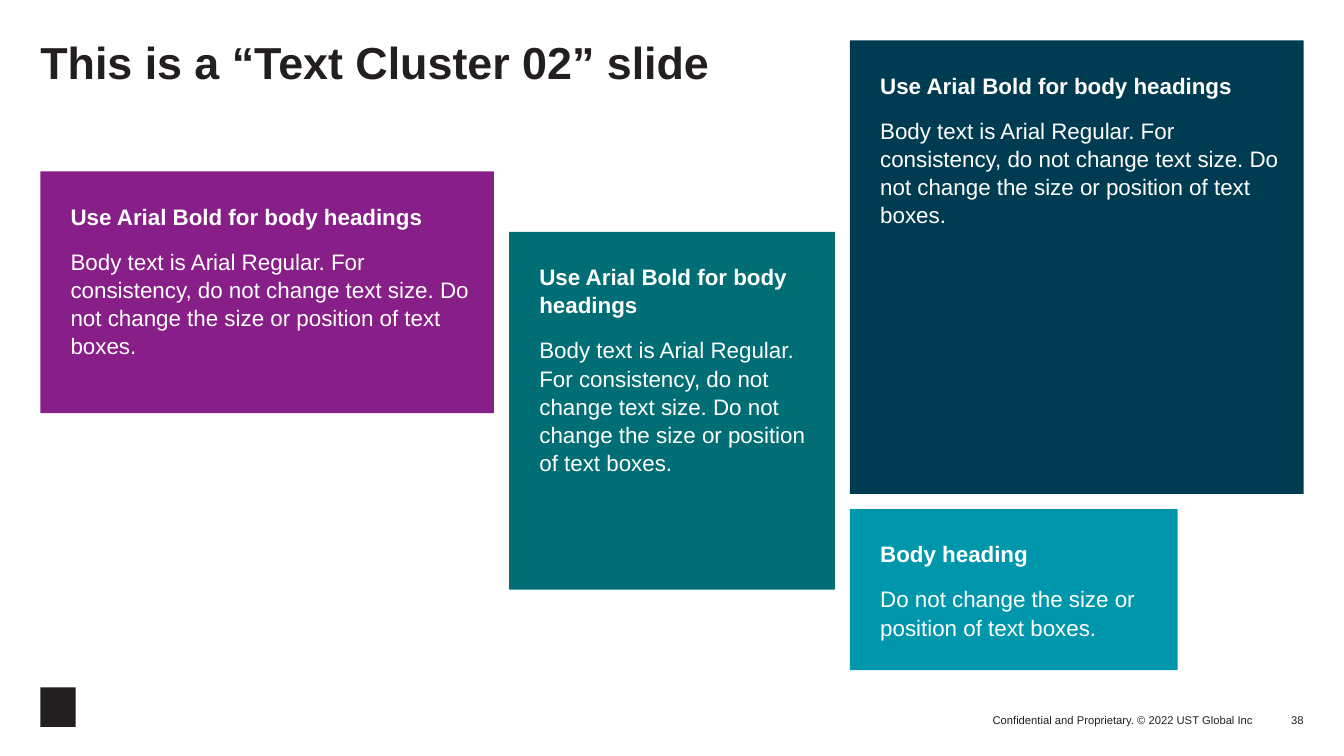
from dataclasses import dataclass

from pptx import Presentation
from pptx.dml.color import RGBColor
from pptx.enum.shapes import MSO_SHAPE
from pptx.enum.text import MSO_ANCHOR, PP_ALIGN
from pptx.util import Pt

PX = 9144


@dataclass(frozen=True)
class Theme:
    font: str = "Arial"
    ink: str = "231F20"
    white: str = "FFFFFF"
    navy: str = "003C51"
    purple: str = "881E87"
    teal: str = "006E74"
    aqua: str = "0097AC"
    title: int = 32
    body: int = 16
    footer: int = 8


class Deck:
    def __init__(self, theme):
        self.theme = theme
        self.prs = Presentation()
        self.prs.slide_width, self.prs.slide_height = 1333 * PX, 750 * PX
        self.s = self.prs.slides.add_slide(self.prs.slide_layouts[6])

    def frame(self, sp, insets, anchor, wrap=True):
        tf = sp.text_frame
        tf.word_wrap = wrap
        tf.vertical_anchor = anchor
        tf.margin_left, tf.margin_top, tf.margin_right, tf.margin_bottom = (
            n * PX for n in insets
        )
        return tf

    def style(self, p, size, color, bold=False, align=PP_ALIGN.LEFT, spacing=1.0):
        p.alignment = align
        p.line_spacing = spacing
        p.font.name = self.theme.font
        p.font.size = Pt(size)
        p.font.bold = bold
        p.font.color.rgb = RGBColor.from_string(color)

    def block(self, box, color):
        sp = self.s.shapes.add_shape(MSO_SHAPE.RECTANGLE, *(n * PX for n in box))
        sp.shadow.inherit = False
        sp.fill.solid()
        sp.fill.fore_color.rgb = RGBColor.from_string(color)
        sp.line.fill.background()
        return sp

    def label(self, box, text, size, anchor=MSO_ANCHOR.TOP, wrap=True, **style):
        sp = self.s.shapes.add_textbox(*(n * PX for n in box))
        p = self.frame(sp, (0, 0, 0, 0), anchor, wrap).paragraphs[0]
        p.text = text
        self.style(p, size, self.theme.ink, **style)

    def card(self, box, color, heading, body):
        tf = self.frame(self.block(box, color), (30, 30, 20, 20), MSO_ANCHOR.TOP)
        p = tf.paragraphs[0]
        p.text = heading
        self.style(p, self.theme.body, self.theme.white, bold=True, spacing=1.05)
        p = tf.add_paragraph()
        p.text = body
        self.style(p, self.theme.body, self.theme.white, spacing=1.05)
        p.space_before = Pt(12)

    def footer(self, box, text, wrap=True):
        self.label(box, text, self.theme.footer, MSO_ANCHOR.BOTTOM, wrap,
                   align=PP_ALIGN.RIGHT)


def main():
    theme = Theme()
    deck = Deck(theme)
    deck.block((40, 682, 35, 39), theme.ink)
    deck.footer((899, 701, 344, 20),
                "Confidential and Proprietary. © 2022 UST Global Inc", wrap=False)
    deck.footer((1243, 691, 50, 30), "38")
    deck.label((40, 40, 788, 100), "This is a “Text Cluster 02” slide",
               theme.title, bold=True, spacing=0.9)

    heading = "Use Arial Bold for body headings"
    body = ("Body text is Arial Regular. For consistency, do not change text size. "
            "Do not change the size or position of text boxes.")
    cards = [
        ((843, 40, 450, 450), theme.navy, heading, body),
        ((40, 170, 450, 240), theme.purple, heading, body),
        ((505, 230, 323, 355), theme.teal, "Use Arial Bold for body headings",
         "Body text is Arial Regular. For consistency, do not change text size. "
         "Do not change the size or position of text boxes."),
        ((843, 505, 325, 160), theme.aqua, "Body heading",
         "Do not change the size or position of text boxes."),
    ]
    for card in cards:
        deck.card(*card)
    deck.prs.save("out.pptx")


if __name__ == "__main__":
    main()
